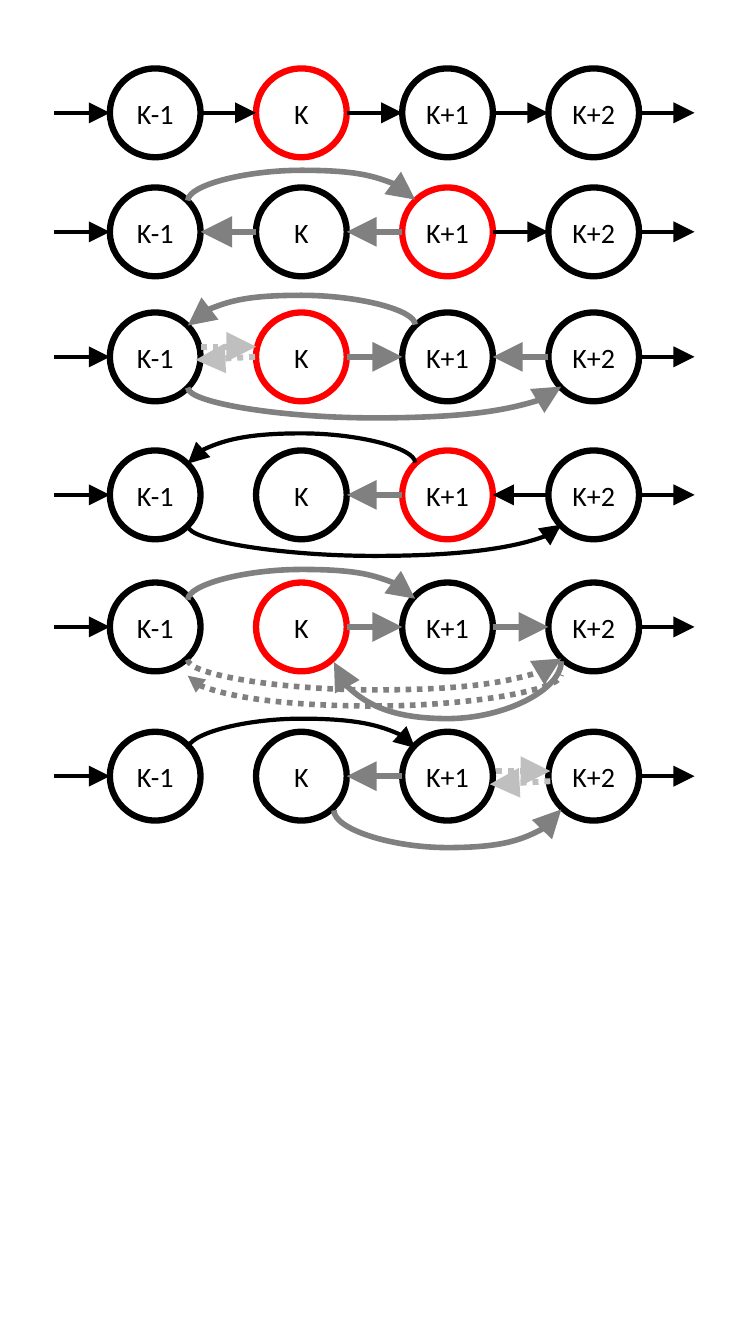
import pptx
import pptx.util
import pptx.dml.color
import pptx.enum.dml
import pptx.enum.shapes
import pptx.enum.text
import pptx.oxml.ns
import lxml.etree

Pt = pptx.util.Pt

# Content: line styles as (colour, width, dotted)
STYLES = {
    "plain": ("000000", 3, False),
    "changed": ("808080", 4.25, False),
    "changed thick": ("808080", 4.5, False),
    "removed": ("BFBFBF", 4.25, True),
    "changed arc": ("808080", 4, False),
    "removed arc": ("808080", 4, True),
}
NODES = ["K-1", "K", "K+1", "K+2"]

# Links: (gap, direction, style[, start shift, end shift]); gap 0 lies before K-1
# Arcs: (from node, to node, start offset, rise, style, arrow end, arrow size)
ROWS = [
    {"middle": 80.6, "current": "K",
     "links": [(gap, 1, "plain") for gap in range(5)],
     "arcs": []},
    {"middle": 165.6, "current": "K+1",
     "links": [(0, 1, "plain"), (1, -1, "changed thick"), (2, -1, "changed"),
               (3, 1, "plain"), (4, 1, "plain")],
     "arcs": [(0, 2, -22.3, 22, "changed arc", "tail", "lg")]},
    {"middle": 254.9, "current": "K",
     "links": [(0, 1, "plain"), (2, 1, "changed"), (3, -1, "changed"), (4, 1, "plain"),
               (1, 1, "removed", (0, -7.2), (0, -7.2)),
               (1, -1, "removed", (-0.7, 0), (-3.6, 2.2))],
     "arcs": [(0, 2, -22.3, 22, "changed arc", "head", "lg"),
              (0, 3, 22, -22, "changed arc", "tail", "lg")]},
    {"middle": 353.5, "current": "K+1",
     "links": [(0, 1, "plain"), (2, -1, "changed"), (3, -1, "plain"), (4, 1, "plain")],
     "arcs": [(0, 2, -22.3, 22, "plain", "head", "lg"),
              (0, 3, 22, -22, "plain", "tail", "lg")]},
    {"middle": 447.8, "current": "K",
     "links": [(0, 1, "plain"), (2, 1, "changed"), (3, 1, "changed"), (4, 1, "plain")],
     "arcs": [(0, 2, -19.4, 22, "changed arc", "tail", "lg"),
              (0, 3, 23.4, -22, "removed arc", "tail", "lg"),
              (0, 3, 34.9, -22, "removed arc", "head", "med"),
              (1, 3, 25.2, -41, "changed arc", "head", "lg")]},
    {"middle": 554.4, "current": None,
     "links": [(0, 1, "plain"), (2, -1, "changed"), (4, 1, "plain"),
               (3, 1, "removed", (2.2, -3.6), (1.4, -3.6)),
               (3, -1, "removed", (1.4, 3.6), (-2.2, 5.8))],
     "arcs": [(0, 2, -19.4, 22, "plain", "tail", "lg"),
              (1, 3, 24.5, -27, "changed arc", "tail", "lg")]},
]

# Grid
FIRST_LEFT, STEP = 78.5, 104.4
NODE_WIDTH, NODE_HEIGHT = 64.8, 63.4
GAP = STEP - NODE_WIDTH
ARC_INSET = 23.2    # from a node's centre to an arc's end
ARC_DROP = 0.72     # height difference between an arc's ends


def color(hex_string):
    return pptx.dml.color.RGBColor.from_string(hex_string)


def add_child(parent, tag, **attributes):
    return lxml.etree.SubElement(parent, pptx.oxml.ns.qn(tag), attributes)


def node_center(index):
    return FIRST_LEFT + index * STEP + NODE_WIDTH / 2


def add_node(shapes, index, label, middle, is_current):
    node = shapes.add_shape(
        pptx.enum.shapes.MSO_SHAPE.OVAL,
        Pt(FIRST_LEFT + index * STEP), Pt(middle - NODE_HEIGHT / 2),
        Pt(NODE_WIDTH), Pt(NODE_HEIGHT))
    node.shadow.inherit = False
    node.fill.background()
    node.line.color.rgb = color("FF0000" if is_current else "000000")
    node.line.width = Pt(4.5)
    frame = node.text_frame
    frame.word_wrap = False
    frame.vertical_anchor = pptx.enum.text.MSO_ANCHOR.MIDDLE
    paragraph = frame.paragraphs[0]
    paragraph.alignment = pptx.enum.text.PP_ALIGN.CENTER
    run = paragraph.add_run()
    run.text = label
    run.font.name = "Calibri"
    run.font.size = Pt(20)
    run.font.color.rgb = color("000000")


def add_arrow(shapes, kind, start, end, style, arrow_end="tail", size="lg"):
    arrow = shapes.add_connector(kind, *(Pt(value) for value in start + end))
    line_color, width, dotted = STYLES[style]
    arrow.line.color.rgb = color(line_color)
    arrow.line.width = Pt(width)
    if dotted:
        arrow.line.dash_style = pptx.enum.dml.MSO_LINE.ROUND_DOT
    properties = arrow.element.spPr
    add_child(properties.find(pptx.oxml.ns.qn("a:ln")), f"a:{arrow_end}End",
              type="triangle", w=size, len=size)
    add_child(properties, "a:effectLst")
    return arrow


def add_link(shapes, middle, gap, direction, style, start_shift=(0, 0), end_shift=(0, 0)):
    right = FIRST_LEFT + gap * STEP
    ends = [right - GAP, right][::direction]
    start, end = [(x + dx, middle + dy)
                  for x, (dx, dy) in zip(ends, (start_shift, end_shift))]
    add_arrow(shapes, pptx.enum.shapes.MSO_CONNECTOR.STRAIGHT, start, end, style)


def add_arc(shapes, middle, first, last, offset, rise, style, arrow_end, size):
    left = node_center(first) + ARC_INSET
    right = node_center(last) - ARC_INSET
    center_x, center_y = (left + right) / 2, middle + offset - ARC_DROP / 2
    half_drop, half_span = ARC_DROP / 2, (right - left) / 2
    # An upright connector turned by a quarter, so that it bulges up or down
    arc = add_arrow(shapes, pptx.enum.shapes.MSO_CONNECTOR.CURVE,
                    (center_x + half_drop, center_y + half_span),
                    (center_x - half_drop, center_y - half_span),
                    style, arrow_end, size)
    properties = arc.element.spPr
    properties.find(pptx.oxml.ns.qn("a:xfrm")).set("rot", str(90 * 60000))
    geometry = properties.find(pptx.oxml.ns.qn("a:prstGeom"))
    for guides in geometry.findall(pptx.oxml.ns.qn("a:avLst")):
        geometry.remove(guides)
    add_child(add_child(geometry, "a:avLst"), "a:gd", name="adj1",
              fmla=f"val {round(rise / ARC_DROP * 100000)}")


presentation = pptx.Presentation()
presentation.slide_width, presentation.slide_height = Pt(540), Pt(960)
slide = presentation.slides.add_slide(presentation.slide_layouts[6])

# One group for each state of the list
for row in ROWS:
    shapes = slide.shapes.add_group_shape().shapes
    for index, label in enumerate(NODES):
        add_node(shapes, index, label, row["middle"], label == row["current"])
    for link in row["links"]:
        add_link(shapes, row["middle"], *link)
    for arc in row["arcs"]:
        add_arc(shapes, row["middle"], *arc)

presentation.save("out.pptx")
